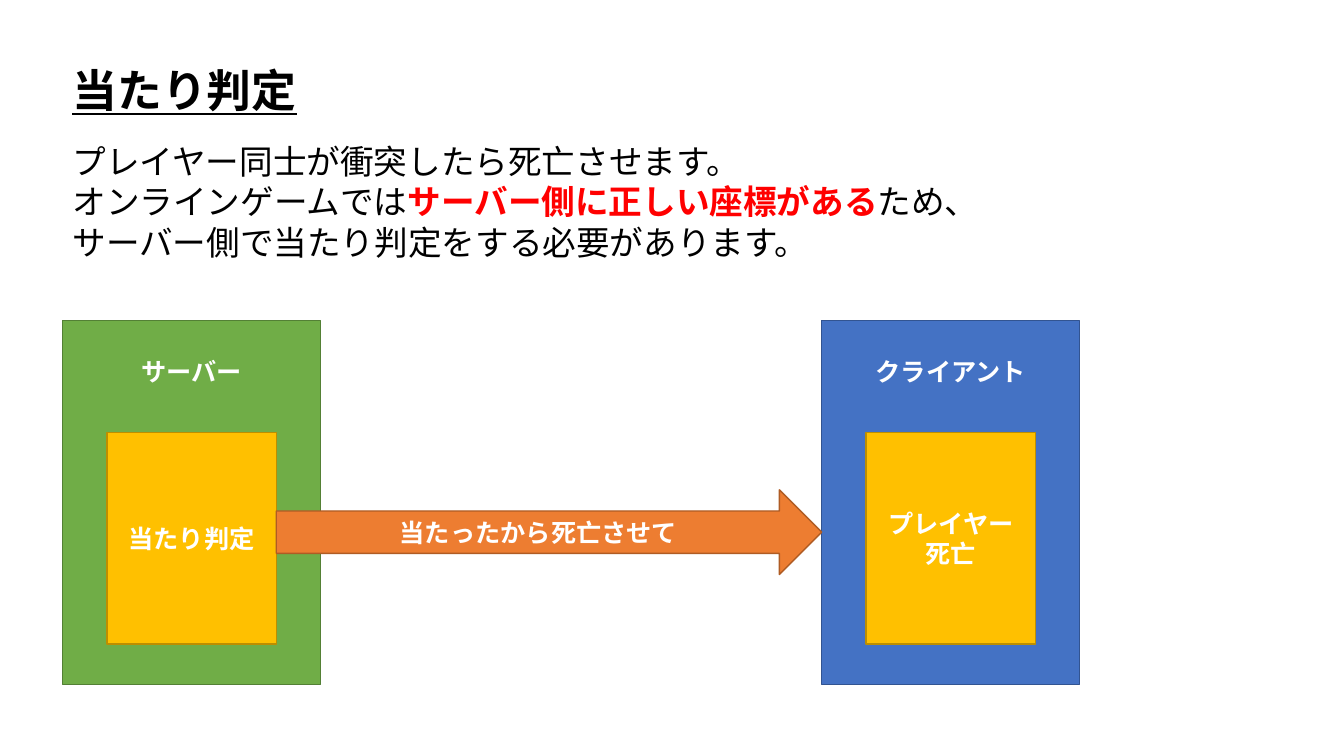
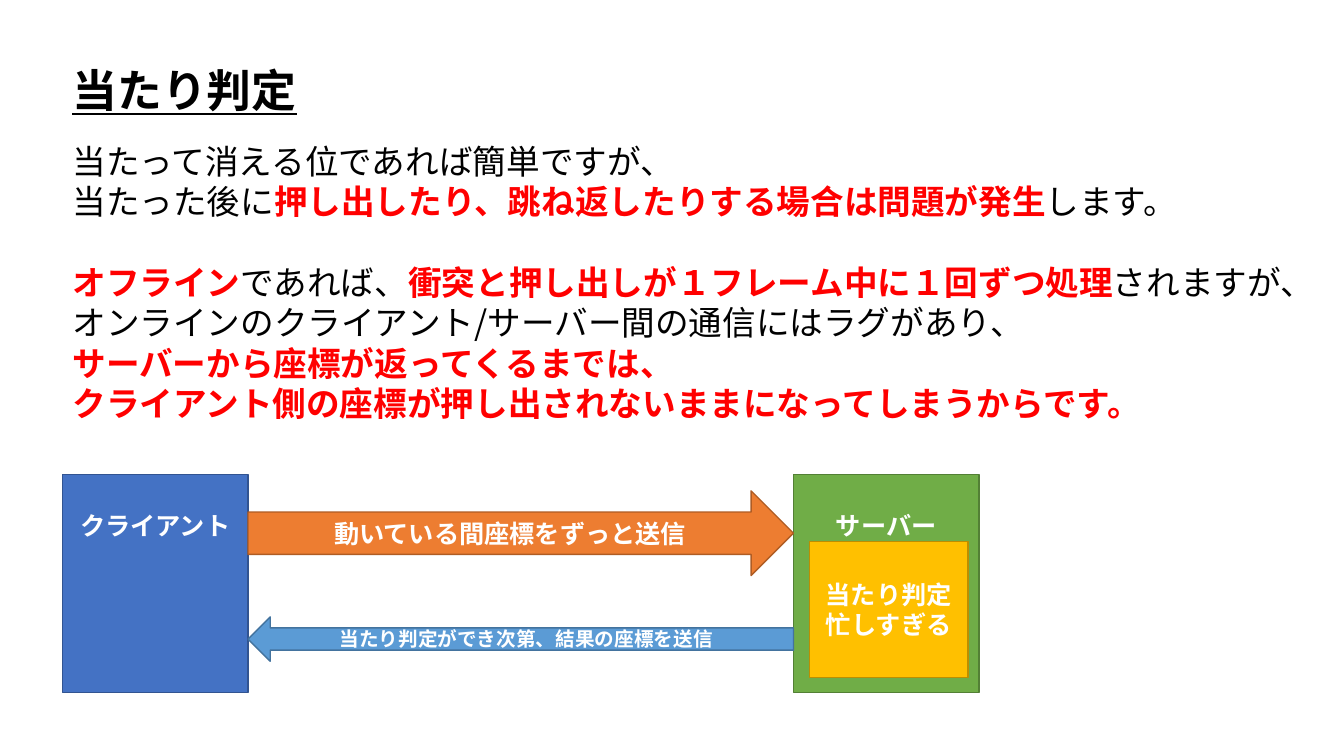
from pptx import Presentation
from pptx.dml.color import RGBColor
from pptx.enum.shapes import MSO_SHAPE as Preset
from pptx.enum.text import MSO_ANCHOR as Anchor, PP_ALIGN as Align
from pptx.oxml.ns import qn
from pptx.util import Inches, Pt

FONT = "Noto Sans CJK JP"
BLACK, RED, WHITE = "000000", "FF0000", "FFFFFF"
GREEN, BLUE = ("70AD47", "538035"), ("4472C4", "325491")
YELLOW, ORANGE, SKY = ("FFC000", "BD8E00"), ("ED7D31", "AF5C24"), ("5B9BD5", "43739E")
SLIDE_W, SLIDE_H = 13.33, 7.5
LEFT, TITLE_TOP, BODY_TOP = 0.62, 0.57, 1.35
LINE_RATIO, LABEL_INSET = 1.2, 0.35
ARROW_W, ARROW_H, REPLY_H = 5.41, 0.84, 0.44

TITLE = "当たり判定"
COLLISION_TEXT = [
    "プレイヤー同士が衝突したら死亡させます。",
    "オンラインゲームでは|サーバー側に正しい座標がある|ため、",
    "サーバー側で当たり判定をする必要があります。",
]
LAG_TEXT = [
    "当たって消える位であれば簡単ですが、",
    "当たった後に|押し出したり、跳ね返したりする場合は問題が発生|します。",
    "|オフライン|であれば、|衝突と押し出しが１フレーム中に１回ずつ処理|されますが、",
    "オンラインのクライアント/サーバー間の通信にはラグがあり、",
    "|サーバーから座標が返ってくるまでは、|",
    "|クライアント側の座標が押し出されないままになってしまうからです。|",
]
LAG_SECTION_START = 2


def rgb(value):
    return RGBColor.from_string(value)


def style_run(run, size, color, bold=False, underline=False):
    font = run.font
    font.size, font.bold, font.underline = Pt(size), bold, underline
    font.color.rgb = rgb(color)
    font.name = FONT
    east_asian = run._r.get_or_add_rPr().makeelement(qn("a:ea"), {"typeface": FONT})
    font._element.find(qn("a:latin")).addnext(east_asian)


def add_text(slide, lines, top, size, title=False, section_start=None):
    """Add left-aligned lines in which the parts between bars are emphasised."""
    pitch = size * LINE_RATIO
    height = len(lines) * pitch / 72 + 0.1
    frame = slide.shapes.add_textbox(
        Inches(LEFT), Inches(top), Inches(SLIDE_W - LEFT), Inches(height)).text_frame
    frame.word_wrap = True
    for index, line in enumerate(lines):
        paragraph = frame.paragraphs[0] if index == 0 else frame.add_paragraph()
        paragraph.line_spacing = Pt(pitch)
        if index == section_start:
            paragraph.space_before = Pt(pitch)
        for part, words in enumerate(line.split("|")):
            if words:
                run = paragraph.add_run()
                run.text = words
                strong = part % 2 == 1
                style_run(run, size, RED if strong else BLACK, strong or title, title)


def add_block(slide, preset, box, colors, label, size=18, heading=False):
    """Add a filled shape with a white bold label, at its top if a heading."""
    block = slide.shapes.add_shape(preset, *map(Inches, box))
    block.shadow.inherit = False
    fill, outline = colors
    block.fill.solid()
    block.fill.fore_color.rgb = rgb(fill)
    block.line.color.rgb = rgb(outline)
    block.line.width = Pt(1)
    frame = block.text_frame
    frame.word_wrap = True
    frame.vertical_anchor = Anchor.TOP if heading else Anchor.MIDDLE
    if heading:
        frame.margin_top = Inches(LABEL_INSET)
    frame.text = label
    paragraph = frame.paragraphs[0]
    paragraph.alignment = Align.CENTER
    paragraph.line_spacing = Pt(size * LINE_RATIO)
    style_run(paragraph.runs[0], size, WHITE, bold=True)


def add_topic(deck, lines, section_start=None):
    slide = deck.slides.add_slide(deck.slide_layouts[6])
    add_text(slide, [TITLE], TITLE_TOP, 32, title=True)
    add_text(slide, lines, BODY_TOP, 24, section_start=section_start)
    return slide


def draw_collision(slide):
    """Draw the server telling the client about a hit."""
    top, width, height = 3.18, 2.56, 3.61
    inner_w, inner_h, inner_top = 1.68, 2.1, 4.29
    inset = (width - inner_w) / 2
    arrow_left = LEFT + inset + inner_w
    client_left = arrow_left + ARROW_W
    arrow_top = inner_top + (inner_h - ARROW_H) / 2 - 0.06
    for left, colors, machine, task in (
            (LEFT, GREEN, "サーバー", "当たり判定"),
            (client_left, BLUE, "クライアント", "プレイヤー死亡")):
        add_block(slide, Preset.RECTANGLE, (left, top, width, height), colors, machine, heading=True)
        add_block(slide, Preset.RECTANGLE, (left + inset, inner_top, inner_w, inner_h), YELLOW, task)
    add_block(slide, Preset.RIGHT_ARROW, (arrow_left, arrow_top, ARROW_W, ARROW_H),
              ORANGE, "当たったから死亡させて")


def draw_lag(slide):
    """Draw the client and server exchanging coordinates."""
    top, width, height = 4.71, 1.84, 2.16
    arrow_left = LEFT + width
    server_left = arrow_left + ARROW_W
    for left, colors, machine in ((LEFT, BLUE, "クライアント"), (server_left, GREEN, "サーバー")):
        add_block(slide, Preset.RECTANGLE, (left, top, width, height), colors, machine, heading=True)
    add_block(slide, Preset.RECTANGLE, (server_left + 0.16, top + 0.66, 1.57, 1.35),
              YELLOW, "当たり判定忙しすぎる")
    add_block(slide, Preset.RIGHT_ARROW, (arrow_left, top + 0.16, ARROW_W, ARROW_H),
              ORANGE, "動いている間座標をずっと送信")
    add_block(slide, Preset.LEFT_ARROW, (arrow_left, top + 1.41, ARROW_W, REPLY_H),
              SKY, "当たり判定ができ次第、結果の座標を送信", size=14)


def main():
    deck = Presentation()
    deck.slide_width, deck.slide_height = Inches(SLIDE_W), Inches(SLIDE_H)
    draw_collision(add_topic(deck, COLLISION_TEXT))
    draw_lag(add_topic(deck, LAG_TEXT, LAG_SECTION_START))
    deck.save("out.pptx")


if __name__ == "__main__":
    main()
